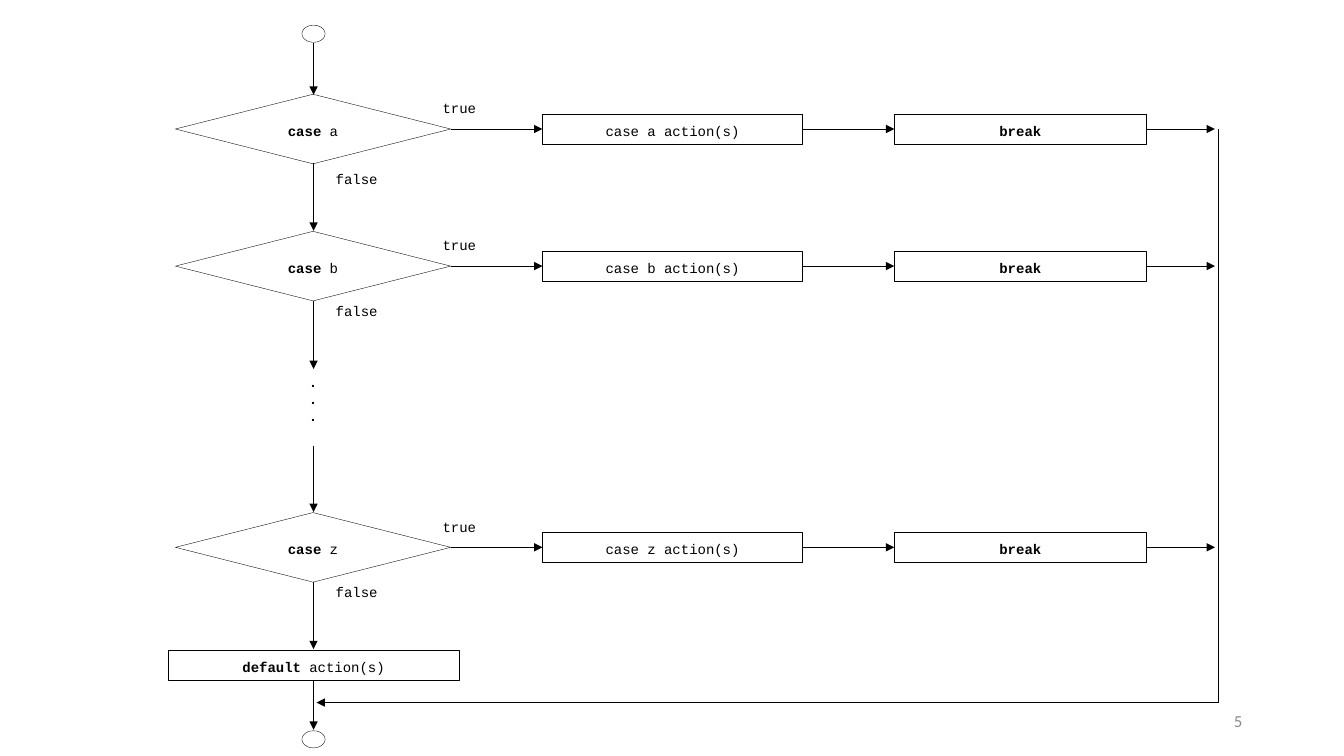
from lxml import etree
from pptx import Presentation, util as u
from pptx.dml.color import RGBColor
from pptx.enum import shapes, text
from pptx.oxml.ns import qn

WIDE, HIGH = 13.33, 7.5
BLACK, WHITE, GREY = "000000", "FFFFFF", "898989"
MONO = "Courier New"
LEFT, MID = text.PP_ALIGN.LEFT, text.PP_ALIGN.CENTER
KIND = shapes.MSO_SHAPE

CASES = [("a", 1.28, 0.41), ("b", 2.64, 0.36), ("z", 5.43, 0.36)]
SPINE, RAIL, JOIN = 3.11, 12.08, 6.97
TEST, ACT, STOP, ELSE = (1.74, 2.73), (5.38, 2.58), (8.87, 2.5), (1.67, 2.88)
TALL, FLAT, LAST = 0.69, 0.3, 6.6
DOT, ENDS = (0.23, 0.17), (0.25, 7.25)
DROPS = [(0.43, 0.94), (1.62, 2.29), (2.99, 3.66),
         (4.42, 5.08), (5.77, 6.44), (6.75, 7.24)]


def tint(code):
    """Turn a hex string into a colour."""
    return RGBColor.from_string(code)


def write(frame, lines, align, size=10, face=MONO, ink=BLACK, pad=0):
    """Fill a text frame with lines made of (words, bold) runs."""
    frame.word_wrap = True
    frame.margin_left = frame.margin_right = u.Inches(pad)
    frame.margin_top = frame.margin_bottom = 0
    for i, line in enumerate(lines):
        para = frame.add_paragraph() if i else frame.paragraphs[0]
        para.alignment = align
        for words, bold in line:
            run = para.add_run()
            run.text = words
            font = run.font
            font.name, font.size, font.bold = face, u.Pt(size), bold
            font.color.rgb = tint(ink)


def label(slide, area, lines, align=LEFT, **style):
    """Add a text box and return its frame."""
    frame = slide.shapes.add_textbox(*map(u.Inches, area)).text_frame
    write(frame, lines, align, **style)
    return frame


def node(slide, kind, span, y, tall, runs=()):
    """Add an outlined shape centred on height y."""
    left, wide = span
    area = map(u.Inches, (left, y - tall / 2, wide, tall))
    shape = slide.shapes.add_shape(kind, *area)
    shape.shadow.inherit = False
    shape.fill.solid()
    shape.fill.fore_color.rgb = tint(WHITE)
    shape.line.color.rgb = tint(BLACK)
    shape.line.width = u.Pt(0.25)
    if runs:
        frame = shape.text_frame
        write(frame, [runs], MID)
        frame.margin_top = u.Inches(0.04)
        frame.vertical_anchor = text.MSO_ANCHOR.MIDDLE


def link(slide, x1, y1, x2, y2, head=True):
    """Draw a straight line, with an arrowhead at its end if asked."""
    ends = map(u.Inches, (x1, y1, x2, y2))
    line = slide.shapes.add_connector(shapes.MSO_CONNECTOR.STRAIGHT, *ends)
    line.line.color.rgb = tint(BLACK)
    line.line.width = u.Pt(0.25)
    props = line._element.spPr
    if head:
        etree.SubElement(props.find(qn("a:ln")), qn("a:tailEnd"), type="triangle")
    etree.SubElement(props, qn("a:effectLst"))


def branch(slide, name, y, drop):
    """Draw one case: test, action, break and the arrows between them."""
    node(slide, KIND.DIAMOND, TEST, y, TALL, [("case", True), (f" {name}", False)])
    node(slide, KIND.RECTANGLE, ACT, y, FLAT, [(f"case {name} action(s)", False)])
    node(slide, KIND.RECTANGLE, STOP, y, FLAT, [("break", True)])
    stops = [TEST, ACT, STOP, (RAIL - 0.03, 0)]
    for (left, wide), (goal, _) in zip(stops, stops[1:]):
        link(slide, left + wide, y, goal, y)
    label(slide, (4.39, y - 0.29, 0.81, 0.34), [[("true", False)]])
    label(slide, (3.33, y + drop, 0.99, 0.34), [[("false", False)]])


def main():
    """Build the switch flowchart slide."""
    deck = Presentation()
    deck.slide_width, deck.slide_height = u.Inches(WIDE), u.Inches(HIGH)
    slide = deck.slides.add_slide(deck.slide_layouts[6])
    page = label(slide, (9.42, 6.95, 3, 0.4), [[("5", False)]],
                 text.PP_ALIGN.RIGHT, size=12, face="Calibri", ink=GREY, pad=0.1)
    page.vertical_anchor = text.MSO_ANCHOR.MIDDLE
    for top in ENDS:
        wide, tall = DOT
        node(slide, KIND.OVAL, (SPINE - wide / 2, wide), top + tall / 2, tall)
    for case in CASES:
        branch(slide, *case)
    node(slide, KIND.RECTANGLE, ELSE, LAST, FLAT,
         [("default", True), (" action(s)", False)])
    label(slide, (2.99, 3.71, 0.23, 0.82), [[(".", True)]] * 3, MID)
    for top, base in DROPS:
        link(slide, SPINE, top, SPINE, base)
    link(slide, RAIL, CASES[0][1], RAIL, JOIN, head=False)
    link(slide, RAIL, JOIN, SPINE + 0.03, JOIN)
    deck.save("out.pptx")


if __name__ == "__main__":
    main()
